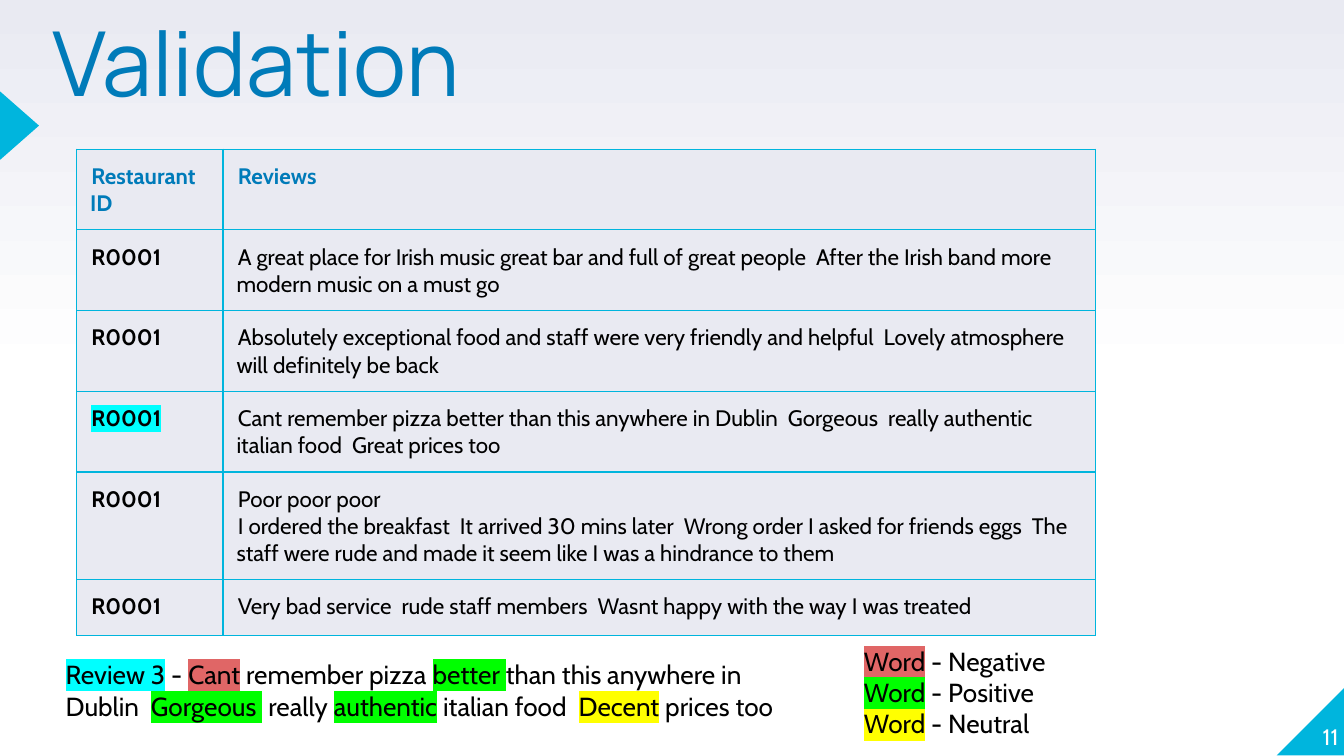
from lxml import etree
from pptx import Presentation
from pptx.dml.color import RGBColor
from pptx.enum.shapes import MSO_SHAPE as SHAPE
from pptx.enum.text import MSO_ANCHOR as ANCHOR, PP_ALIGN as ALIGN
from pptx.oxml import parse_xml
from pptx.oxml.ns import nsdecls, qn
from pptx.util import Inches, Pt

CYAN = RGBColor(0x00, 0xB5, 0xDD)
BLUE = RGBColor(0x00, 0x7B, 0xB9)
LAVENDER = RGBColor(0xE9, 0xEA, 0xF2)
WHITE = RGBColor(0xFF, 0xFF, 0xFF)
BLACK = RGBColor(0x00, 0x00, 0x00)
AQUA = RGBColor(0x00, 0xFF, 0xFF)
NEGATIVE = RGBColor(0xE0, 0x66, 0x66)
POSITIVE = RGBColor(0x00, 0xFF, 0x00)
NEUTRAL = RGBColor(0xFF, 0xFF, 0x00)


def format_run(r, size, color, font="Cabin", bold=False, highlight=None):
    r.font.size = Pt(size)
    r.font.bold = bold
    r.font.color.rgb = color
    r.font.name = font
    if highlight is not None:
        mark = parse_xml(f'<a:highlight {nsdecls("a")}><a:srgbClr val="{highlight}"/></a:highlight>')
        r._r.rPr.find(qn("a:latin")).addprevious(mark)


def add_text(left, top, width, height, inset, lines, size, color, font="Cabin"):
    """Add a text box; each line is a list of (text, highlight) pairs."""
    tf = s.shapes.add_textbox(Inches(left), Inches(top), Inches(width), Inches(height)).text_frame
    tf.word_wrap = True
    tf.margin_left = tf.margin_right = tf.margin_top = tf.margin_bottom = Inches(inset)
    for i, line in enumerate(lines):
        p = tf.add_paragraph() if i else tf.paragraphs[0]
        for text, highlight in line:
            r = p.add_run()
            r.text = text
            format_run(r, size, color, font, highlight=highlight)
    return tf


# 16:9 slide
prs = Presentation()
prs.slide_width = Inches(10)
prs.slide_height = Inches(10 * 9 / 16)
s = prs.slides.add_slide(prs.slide_layouts[6])

# Background: white below, lavender at the top
bg = s.background.fill
bg.gradient()
bg.gradient_angle = 90
for stop, position, color in zip(bg.gradient_stops, (0.5, 1), (WHITE, LAVENDER)):
    stop.position = position
    stop.color.rgb = color

# Corner and left-edge triangles
corner = s.shapes.add_shape(SHAPE.RIGHT_TRIANGLE, Inches(9.5), Inches(5.11), Inches(0.51), Inches(0.51))
corner._element.spPr.xfrm.set("flipH", "1")
pointer = s.shapes.add_shape(SHAPE.ISOSCELES_TRIANGLE, Inches(-0.11), Inches(0.79), Inches(0.51), Inches(0.29))
pointer.rotation = 90
for sp in (corner, pointer):
    sp.shadow.inherit = False
    sp.fill.solid()
    sp.fill.fore_color.rgb = CYAN
    sp.line.fill.background()

# Title and page number
tf = add_text(0.39, 0.21, 6.17, 1.18, 0, [[("Validation", None)]], 48, BLUE, "Manrope")
tf.paragraphs[0].line_spacing = 0.8
tf = add_text(9.46, 5.07, 0.5, 0.51, 0, [[("11", None)]], 12, WHITE)
tf.vertical_anchor = ANCHOR.BOTTOM
tf.paragraphs[0].alignment = ALIGN.RIGHT

# Review table
rows = [
    ("Restaurant ID", "Reviews"),
    ("R0001", "A great place for Irish music great bar and full of great people  "
              "After the Irish band more modern music on a must go"),
    ("R0001", "Absolutely exceptional food and staff were very friendly and helpful  "
              "Lovely atmosphere will definitely be back"),
    ("R0001", "Cant remember pizza better than this anywhere in Dublin  Gorgeous  "
              "really authentic italian food  Great prices too"),
    ("R0001", "Poor poor poor\nI ordered the breakfast  It arrived 30 mins later  "
              "Wrong order I asked for friends eggs  The staff were rude and made it "
              "seem like I was a hindrance to them"),
    ("R0001", "Very bad service  rude staff members  Wasnt happy with the way I was treated"),
]
HIGHLIGHTED_ROW = 3
widths = (1.09, 6.49)
row_height = 0.42
table = s.shapes.add_table(len(rows), len(widths), Inches(0.57), Inches(1.11),
                           Inches(sum(widths)), Inches(row_height * len(rows))).table
for column, width in zip(table.columns, widths):
    column.width = Inches(width)
for i, row in enumerate(rows):
    table.rows[i].height = Inches(row_height)
    for j, text in enumerate(row):
        cell = table.cell(i, j)
        cell.fill.solid()
        cell.fill.fore_color.rgb = LAVENDER
        cell.margin_left = cell.margin_right = cell.margin_top = cell.margin_bottom = Inches(0.1)
        cell.text_frame.text = text
        for p in cell.text_frame.paragraphs:
            pPr = p._p.get_or_add_pPr()
            pPr.set("marL", "0")
            pPr.set("indent", str(Inches(0.01)))
            format_run(p.runs[0], 12, BLACK if i else BLUE, bold=i == 0 or j == 0,
                       highlight=AQUA if (i, j) == (HIGHLIGHTED_ROW, 0) else None)
        tcPr = cell._tc.get_or_add_tcPr()
        for k, side in enumerate(("lnL", "lnR", "lnT", "lnB")):
            border = etree.Element(qn(f"a:{side}"), w=str(Pt(0.75)))
            fill = etree.SubElement(border, qn("a:solidFill"))
            etree.SubElement(fill, qn("a:srgbClr"), val=str(CYAN))
            tcPr.insert(k, border)

# Review 3 with its words marked by sentiment
review = [
    ("Review 3", AQUA), (" - ", None), ("Cant", NEGATIVE), (" remember pizza ", None),
    ("better ", POSITIVE), ("than this anywhere in Dublin  ", None), ("Gorgeous ", POSITIVE),
    (" really ", None), ("authentic", POSITIVE), (" italian food  ", None),
    ("Decent", NEUTRAL), (" prices too", None),
]
add_text(0.39, 4.8, 5.7, 0.79, 0.1, [review], 14, BLACK)

# Sentiment legend
legend = [("Negative", NEGATIVE), ("Positive", POSITIVE), ("Neutral", NEUTRAL)]
add_text(6.33, 4.7, 3, 0.79, 0.1,
         [[("Word", color), (f" - {label}", None)] for label, color in legend], 14, BLACK)

prs.save("out.pptx")
